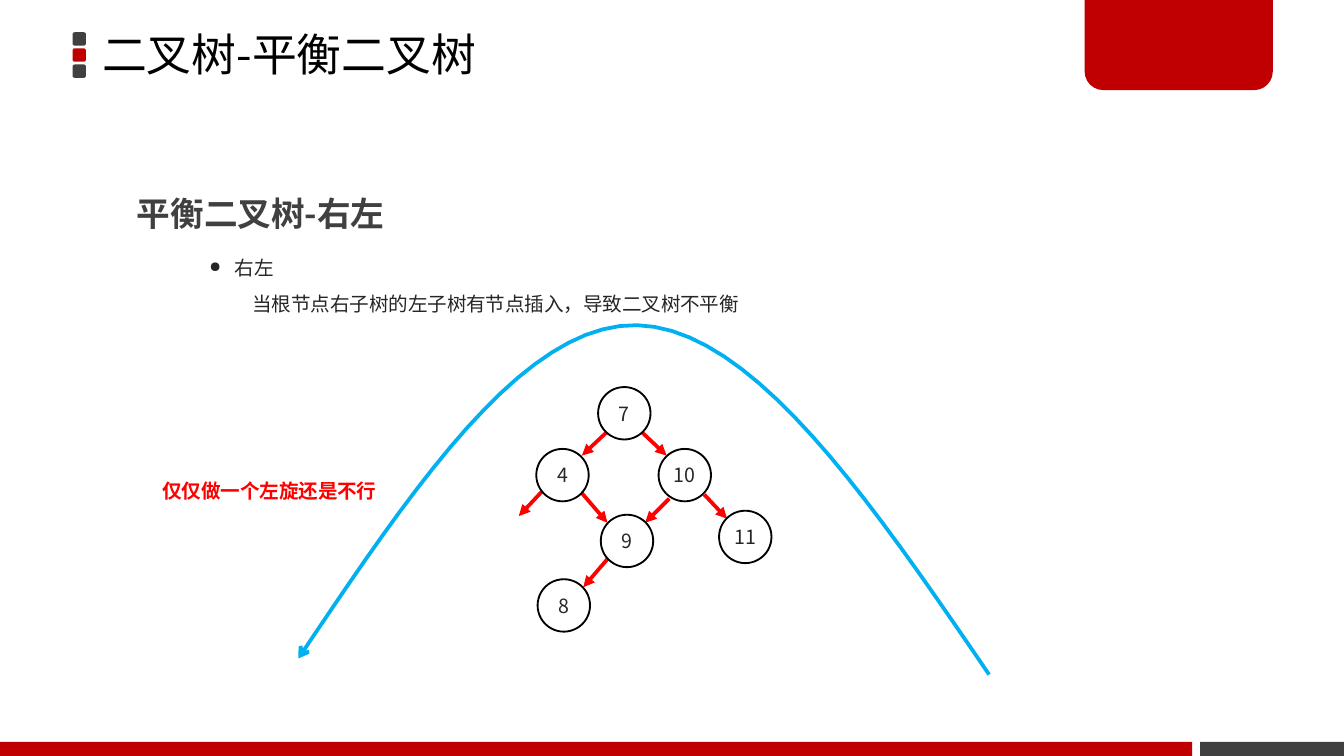
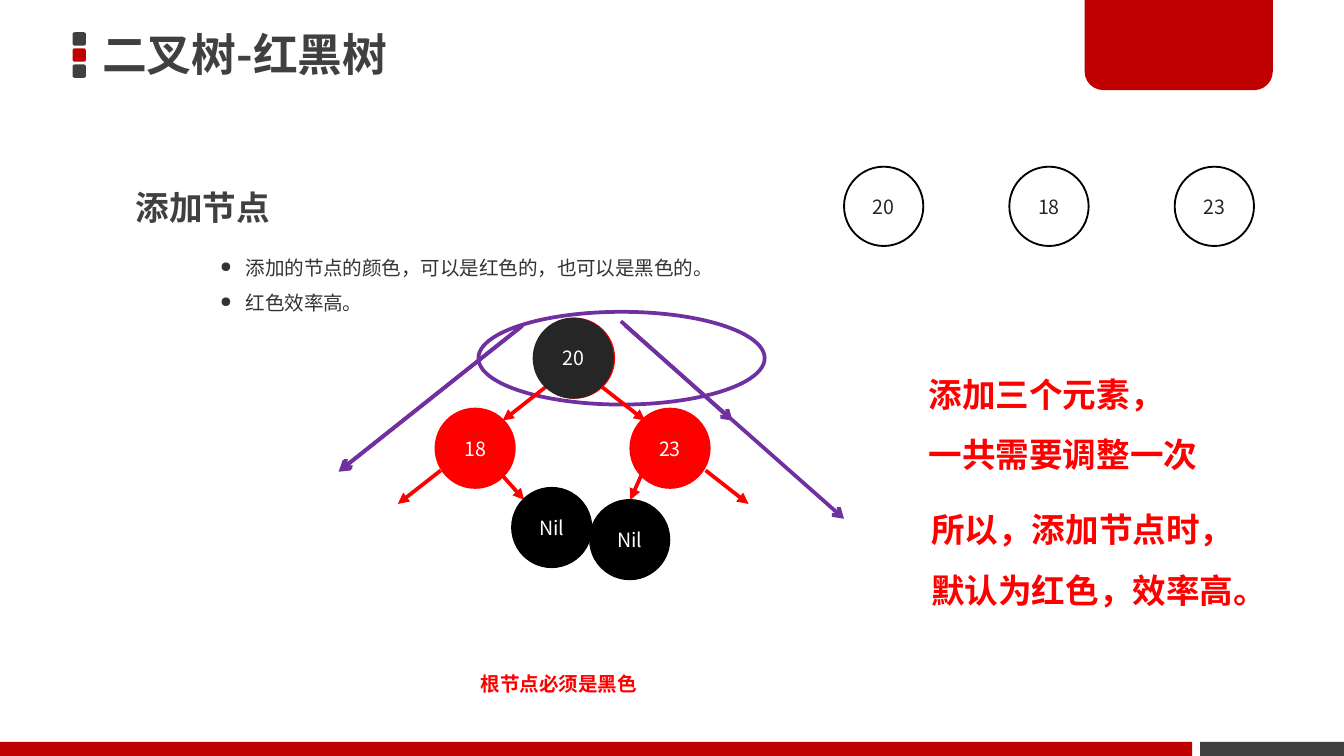
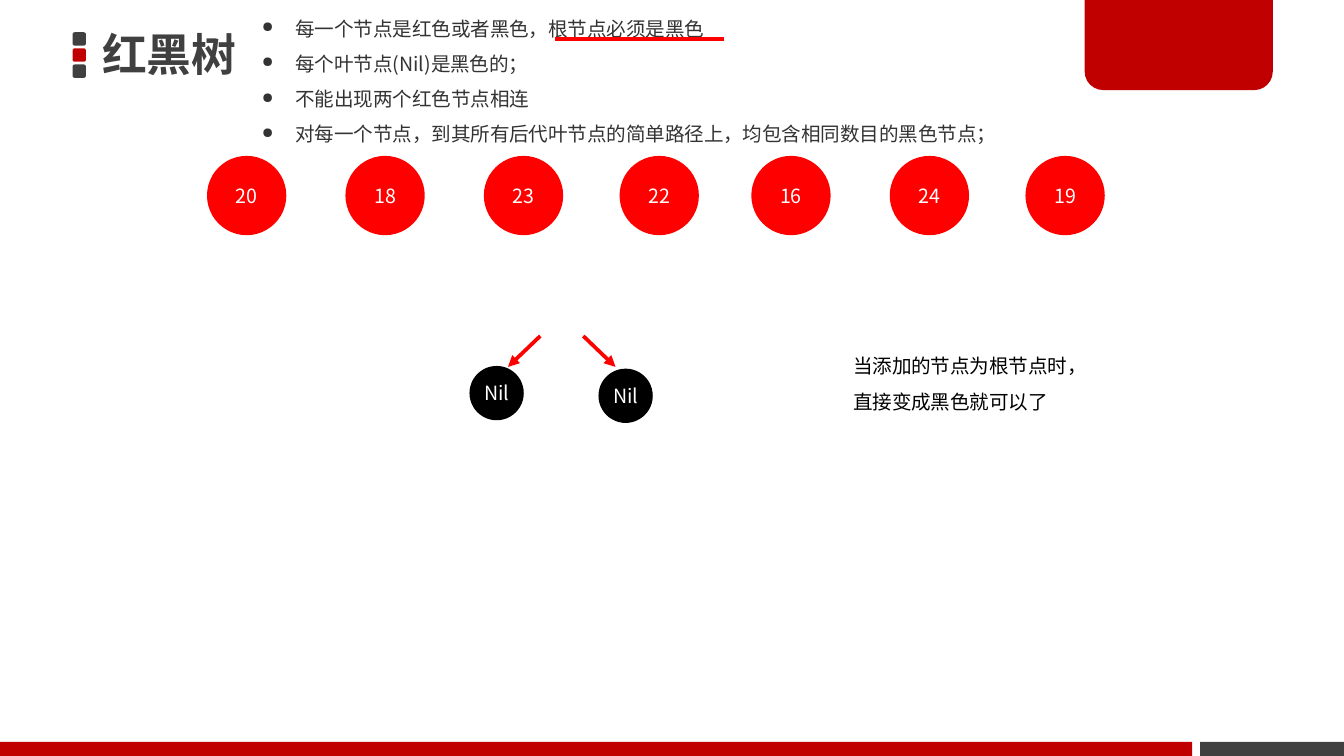
import pptx
import pptx.util
import pptx.dml.color
import pptx.enum.shapes
import pptx.enum.text
import pptx.oxml.ns
import lxml.etree

Inches = pptx.util.Inches
Shape = pptx.enum.shapes.MSO_SHAPE
Anchor = pptx.enum.text.MSO_ANCHOR
Align = pptx.enum.text.PP_ALIGN
qn = pptx.oxml.ns.qn

COLORS = {
    "white": "FFFFFF", "black": "000000", "dark": "404040", "ink": "262626",
    "gray": "333333", "brand": "C00000", "red": "FF0000", "purple": "7030A0",
    "blue": "00B0F0",
}
RGB = {name: pptx.dml.color.RGBColor.from_string(value) for name, value in COLORS.items()}
BODY_FONT = "Noto Sans CJK SC"
TITLE_FONT = "Noto Sans CJK JP"

NODE_STYLES = {
    "open": (None, "black", "ink"),
    "red": ("red", "red", "white"),
    "flat red": ("red", None, "white"),
    "root": ("ink", "ink", "white"),
    "nil": ("black", "black", "white"),
}
SMALL, LARGE = 0.39, 0.59


def write(shape, lines, size, color, bold=False, font=BODY_FONT, spacing=1.5,
          anchor=Anchor.TOP, align=Align.LEFT, margins=(0.1, 0.05), bullet=0, unmarked=()):
    frame = shape.text_frame
    frame.text = "\n".join(lines)
    frame.word_wrap = align == Align.LEFT
    frame.vertical_anchor = anchor
    frame.margin_left = frame.margin_right = Inches(margins[0])
    frame.margin_top = frame.margin_bottom = Inches(margins[1])
    for index, paragraph in enumerate(frame.paragraphs):
        properties = paragraph._p.get_or_add_pPr()
        if index in unmarked:
            properties.set("marL", str(Inches(0.32)))
        elif bullet:
            properties.set("marL", str(Inches(bullet)))
            properties.set("indent", str(-Inches(bullet)))
            lxml.etree.SubElement(properties, qn("a:buSzPct")).set("val", "75000")
            lxml.etree.SubElement(properties, qn("a:buChar")).set("char", "●")
        paragraph.alignment = align
        paragraph.line_spacing = spacing
        for run in paragraph.runs:
            run.font.size = pptx.util.Pt(size)
            run.font.bold = bold
            run.font.color.rgb = RGB[color]
            run.font.name = font
            east_asian = lxml.etree.SubElement(run._r.get_or_add_rPr(), qn("a:ea"))
            east_asian.set("typeface", font)


def style(shape, fill=None, line=None, width=1, arrowhead=None):
    if fill:
        shape.fill.solid()
        shape.fill.fore_color.rgb = RGB[fill]
    elif hasattr(shape, "fill"):
        shape.fill.background()
    if line:
        shape.line.color.rgb = RGB[line]
        shape.line.width = pptx.util.Pt(width)
    else:
        shape.line.fill.background()
    if arrowhead:
        outline = shape.line._get_or_add_ln()
        lxml.etree.SubElement(outline, qn("a:tailEnd")).set("type", arrowhead)
    if hasattr(shape, "shadow"):
        shape.shadow.inherit = False
    else:
        lxml.etree.SubElement(shape._element.spPr, qn("a:effectLst"))


balanced_tree = {
    "title": "二叉树-平衡二叉树",
    "title_box": (0.69, -0.02, 5.89, 0.89),
    "title_style": {"color": "black", "spacing": 0.9},
    "texts": [
        ((0.92, 1.24, 3.42, 0.56), ["平衡二叉树-右左"], 18, "dark", {"bold": True}),
        ((1.46, 1.77, 8.05, 0.63), ["右左", "当根节点右子树的左子树有节点插入，导致二叉树不平衡"],
         10.5, "ink", {"bullet": 0.19, "unmarked": [1]}),
        ((1.11, 3.43, 1.82, 0.37), ["仅仅做一个左旋还是不行"], 10.5, "red", {"bold": True}),
    ],
    "lines": [
        (4.51, 3.22, 4.33, 3.39, "red", "triangle"),
        (4.78, 3.22, 4.96, 3.39, "red", "triangle"),
        (5.24, 3.68, 5.41, 3.86, "red", "triangle"),
        (4.98, 3.71, 4.8, 3.89, "red", "triangle"),
        (4.52, 4.16, 4.34, 4.37, "red", "triangle"),
        (4.03, 3.66, 3.86, 3.84, "red", "triangle"),
        (4.33, 3.67, 4.52, 3.89, "red", "triangle"),
    ],
    "nodes": [
        ("7", 4.45, 2.88, SMALL, "open"),
        ("4", 3.99, 3.34, SMALL, "open"),
        ("10", 4.9, 3.34, SMALL, "open"),
        ("11", 5.35, 3.8, SMALL, "open"),
        ("9", 4.47, 3.83, SMALL, "open"),
        ("8", 4, 4.31, SMALL, "open"),
    ],
}

adding_nodes = {
    "title": "二叉树-红黑树",
    "title_box": (0.69, 0.19, 7.19, 0.42),
    "title_style": {"color": "dark", "bold": True, "spacing": 1.0},
    "texts": [
        ((0.91, 1.19, 3.42, 0.56), ["添加节点"], 18, "dark", {"bold": True}),
        ((1.54, 1.78, 5.6, 0.6), ["添加的节点的颜色，可以是红色的，也可以是黑色的。", "红色效率高。"],
         10.5, "gray", {"bullet": 0.19, "anchor": Anchor.MIDDLE}),
        ((3.48, 4.86, 1.58, 0.37), ["根节点必须是黑色"], 10.5, "red", {"bold": True}),
        ((6.81, 2.58, 2.22, 1.01), ["添加三个元素，", "一共需要调整一次"], 18, "red", {"bold": True}),
        ((6.83, 3.59, 2.73, 0.96), ["所以，添加节点时，", "默认为红色，效率高。"], 18, "red",
         {"bold": True}),
    ],
    "lines": [
        (4.06, 2.88, 3.74, 3.13, "red", "triangle"),
        (4.48, 2.88, 4.8, 3.13, "red", "triangle"),
        (3.28, 3.5, 2.96, 3.75, "red", "triangle"),
        (5.25, 3.5, 5.57, 3.75, "red", "triangle"),
        (4.77, 3.54, 4.69, 3.72, "red", "triangle"),
        (3.74, 3.54, 3.9, 3.72, "red", "triangle"),
        (3.88, 2.43, 2.53, 3.5, "purple", "arrow"),
        (3.89, 2.42, 2.52, 3.51, "purple", "arrow"),
        (4.62, 2.39, 5.45, 3.13, "purple", "arrow"),
        (4.65, 2.42, 6.28, 3.86, "purple", "arrow"),
    ],
    "nodes": [
        (label, 6.28 + 1.23 * index, 1.24, LARGE, "open")
        for index, label in enumerate(["20", "18", "23"])
    ] + [
        ("20", 3.98, 2.37, LARGE, "red"),
        ("20", 3.97, 2.37, LARGE, "root"),
        ("18", 3.24, 3.04, LARGE, "red"),
        ("23", 4.69, 3.04, LARGE, "red"),
        ("Nil", 4.39, 3.72, LARGE, "nil"),
        ("Nil", 3.81, 3.63, LARGE, "nil"),
    ],
}

red_black_rules = {
    "title": "红黑树",
    "title_box": adding_nodes["title_box"],
    "title_style": adding_nodes["title_style"],
    "texts": [
        ((1.85, -0.02, 6.71, 1.16),
         ["每一个节点是红色或者黑色，根节点必须是黑色", "每个叶节点(Nil)是黑色的；",
          "不能出现两个红色节点相连",
          "对每一个节点，到其所有后代叶节点的简单路径上，均包含相同数目的黑色节点；"],
         10.5, "gray", {"bullet": 0.25, "anchor": Anchor.MIDDLE}),
        ((6.25, 2.5, 1.97, 0.63), ["当添加的节点为根节点时，", "直接变成黑色就可以了"],
         10.5, "black", {}),
    ],
    "lines": [
        (4.02, 2.5, 3.78, 2.73, "red", "triangle"),
        (4.34, 2.5, 4.58, 2.73, "red", "triangle"),
        (4.13, 0.29, 5.39, 0.29, "red", None),
    ],
    "nodes": [
        (label, left, 1.16, LARGE, "flat red")
        for label, left in zip(["20", "18", "23", "22", "16", "24", "19"],
                               [1.54, 2.57, 3.6, 4.61, 5.59, 6.62, 7.63])
    ] + [
        ("Nil", 3.5, 2.73, SMALL, "nil"),
        ("Nil", 4.46, 2.75, SMALL, "nil"),
    ],
}

presentation = pptx.Presentation()
presentation.slide_width = Inches(10)
presentation.slide_height = Inches(10) * 9 // 16

for content in (balanced_tree, adding_nodes, red_black_rules):
    slide = presentation.slides.add_slide(presentation.slide_layouts[6])
    shapes = slide.shapes

    for index, color in enumerate(["dark", "brand", "dark"]):
        marker = shapes.add_shape(Shape.ROUNDED_RECTANGLE, Inches(0.54),
                                  Inches(0.24 + 0.12 * index), Inches(0.1), Inches(0.1))
        style(marker, color)
    for left, width, color in ((8.93, 1.07, "dark"), (0, 8.87, "brand")):
        band = shapes.add_shape(Shape.RECTANGLE, Inches(left), Inches(5.52),
                                Inches(width), presentation.slide_height - Inches(5.52))
        style(band, color)
    corner_tab = shapes.add_shape(Shape.ROUND_2_SAME_RECTANGLE, Inches(8.07), Inches(-0.02),
                                  Inches(1.4), Inches(0.69))
    corner_tab.rotation = 180
    corner_tab.adjustments[0] = 0.2
    style(corner_tab, "brand")

    title = shapes.add_textbox(*map(Inches, content["title_box"]))
    write(title, [content["title"]], 24, font=TITLE_FONT, anchor=Anchor.MIDDLE,
          margins=(0.07, 0.04), **content["title_style"])

    for box, lines, size, color, options in content["texts"]:
        write(shapes.add_textbox(*map(Inches, box)), lines, size, color, **options)

    if content is balanced_tree:
        points = []
        for curve in (((7.36, 5.02), (6.48, 3.73), (5.6, 2.44), (4.74, 2.42)),
                      ((4.74, 2.42), (3.89, 2.4), (3.06, 3.65), (2.22, 4.9))):
            for step in range(21):
                t = step / 20
                weights = ((1 - t) ** 3, 3 * t * (1 - t) ** 2, 3 * t ** 2 * (1 - t), t ** 3)
                points.append(tuple(
                    Inches(sum(weight * point[axis] for weight, point in zip(weights, curve)))
                    for axis in (0, 1)))
        builder = shapes.build_freeform(*points[0])
        builder.add_line_segments(points[1:], close=False)
        style(builder.convert_to_shape(), line="blue", width=2, arrowhead="arrow")

    if content is adding_nodes:
        ring = shapes.add_shape(Shape.OVAL, Inches(3.56), Inches(2.32), Inches(2.13), Inches(0.69))
        style(ring, line="purple", width=2)

    for *ends, color, arrowhead in content["lines"]:
        connector = shapes.add_connector(pptx.enum.shapes.MSO_CONNECTOR.STRAIGHT,
                                         *map(Inches, ends))
        style(connector, line=color, width=2, arrowhead=arrowhead)

    for label, left, top, diameter, node_style in content["nodes"]:
        fill, line, ink = NODE_STYLES[node_style]
        node = shapes.add_shape(Shape.OVAL, Inches(left), Inches(top),
                                Inches(diameter), Inches(diameter))
        style(node, fill, line)
        write(node, [label], 10.5, ink, spacing=1.0, anchor=Anchor.MIDDLE,
              align=Align.CENTER, margins=(0, 0))

presentation.save("out.pptx")
